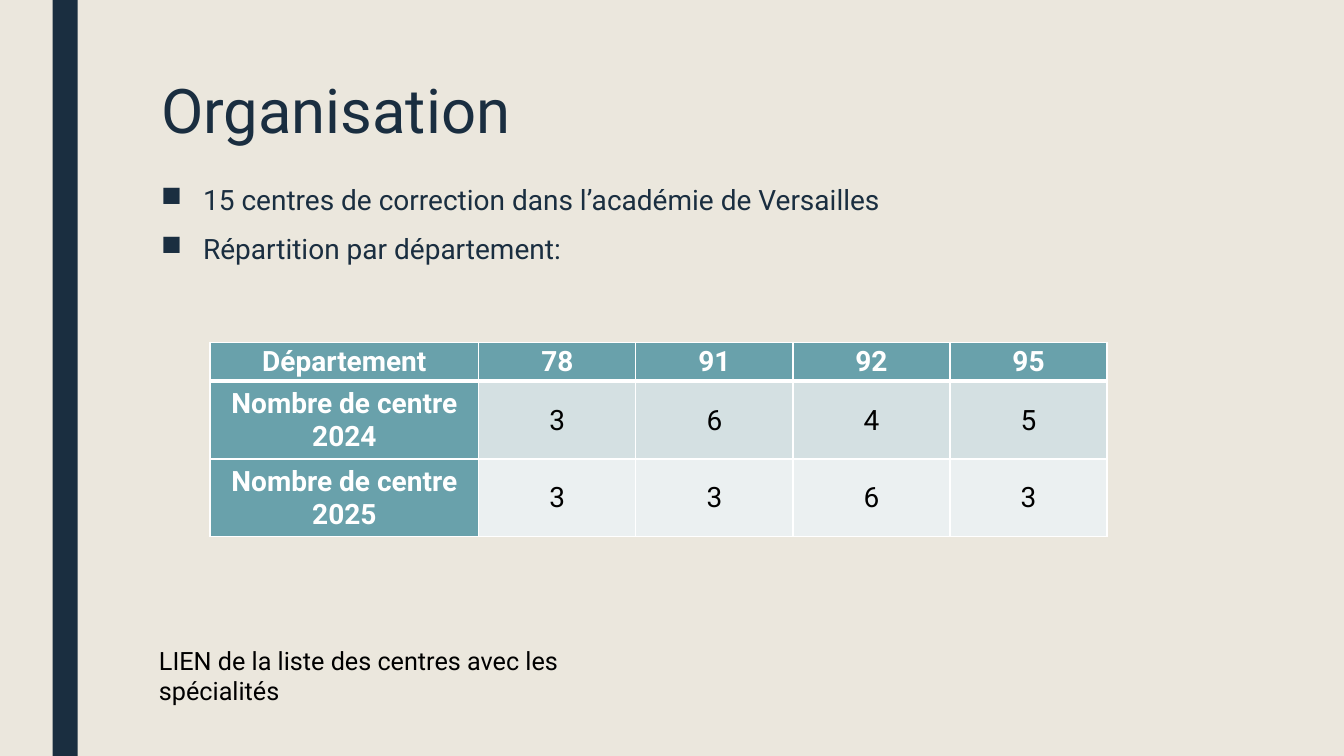
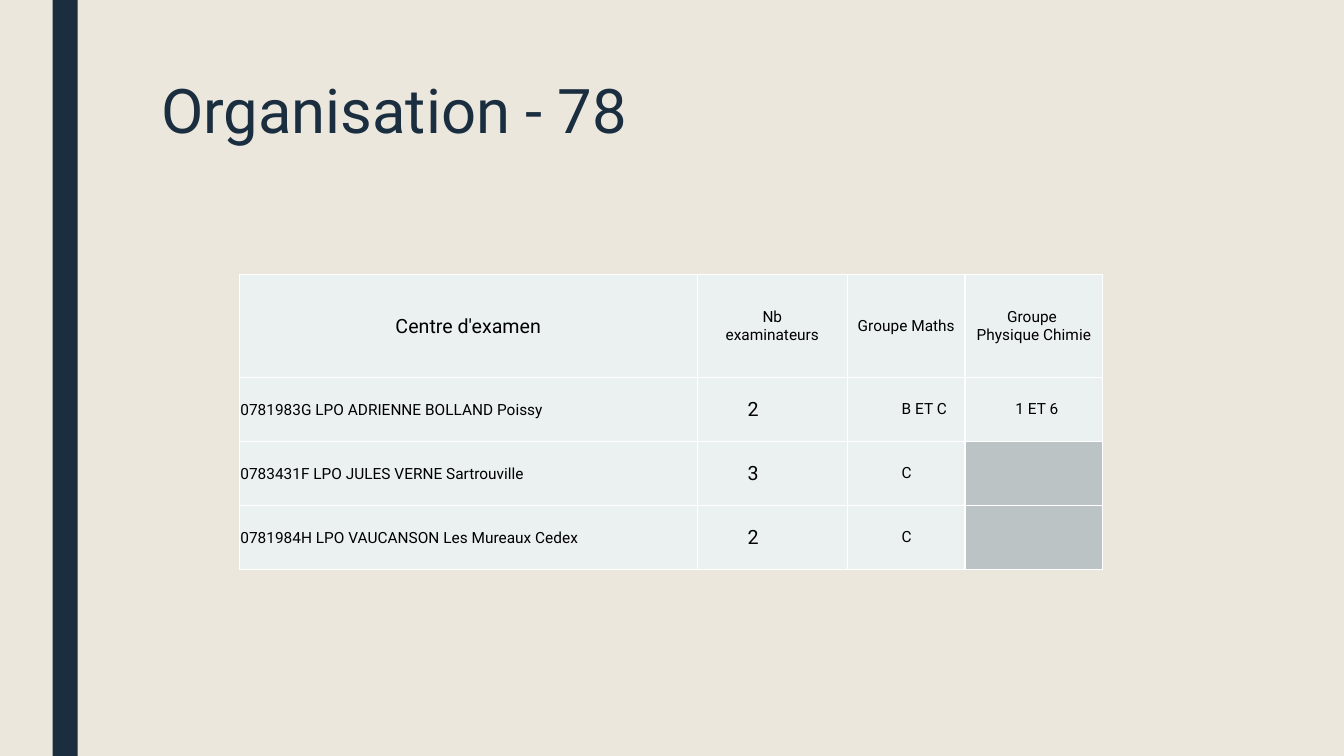
import pptx
import pptx.util
import pptx.dml.color
import pptx.enum.shapes
import pptx.enum.text
import pptx.oxml
import pptx.oxml.ns

Pt = pptx.util.Pt
ALIGN = pptx.enum.text.PP_ALIGN
FONT = "Roboto"
COLS, ROWS = 160, 90
UNIT = pptx.util.Inches(1) / 12
COLORS = {
    "paper": "EBE7DD",
    "navy": "1A2E40",
    "teal": "69A1AB",
    "mist": "D4E0E2",
    "pale": "EBF0F1",
    "grey": "BBC3C4",
    "white": "FFFFFF",
    "black": "000000",
}


def grid(*cells):
    """Turn counts of grid cells into lengths."""
    return [round(cell * UNIT) for cell in cells]


def paint(fill, name):
    fill.solid()
    fill.fore_color.rgb = pptx.dml.color.RGBColor.from_string(COLORS[name])


def style(para, size, color, bold=False):
    font = para.font
    font.name, font.size, font.bold = FONT, Pt(size), bold
    paint(font.fill, color)


def indent(para, left, first=0):
    props = para._p.get_or_add_pPr()
    left, first = grid(left, first)
    props.set("marL", str(left))
    props.set("indent", str(first))
    return props


def write(slide, box, lines, size, color, space=1.0):
    """Add a wrapped text box and return its paragraphs."""
    frame = slide.shapes.add_textbox(*grid(*box)).text_frame
    frame.word_wrap = True
    for num, line in enumerate(lines):
        para = frame.add_paragraph() if num else frame.paragraphs[0]
        para.text = line
        para.line_spacing = space
        style(para, size, color)
    return frame.paragraphs


def bullets(slide, box, lines):
    for para in write(slide, box, lines, 20, "navy", 0.94):
        para.space_before, para.space_after = Pt(10), Pt(2)
        mark = pptx.oxml.parse_xml(
            f'<a:buChar {pptx.oxml.ns.nsdecls("a")} char="■"/>')
        indent(para, 5, -5).append(mark)


def start(deck, title):
    """Add a slide with the shared band and title."""
    slide = deck.slides.add_slide(deck.slide_layouts[6])
    band = slide.shapes.add_shape(
        pptx.enum.shapes.MSO_SHAPE.RECTANGLE, *grid(6.25, 0, 3, ROWS))
    band.shadow.inherit = False
    paint(band.fill, "navy")
    band.line.fill.background()
    write(slide, (18, 9, 126, 19.5), [title], 44, "navy", 0.89)
    return slide


def edge(cell, top=1, base=1):
    """Draw white borders, with top and base widths in points."""
    props = cell._tc.get_or_add_tcPr()
    widths = {"lnL": 1, "lnR": 1, "lnT": top, "lnB": base}
    for num, (tag, width) in enumerate(widths.items()):
        line = pptx.oxml.parse_xml(
            f'<a:{tag} {pptx.oxml.ns.nsdecls("a")} w="{Pt(width)}">'
            f'<a:solidFill><a:srgbClr val="{COLORS["white"]}"/></a:solidFill>'
            f'</a:{tag}>')
        props.insert(num, line)


def table(slide, spot, cols, rows, data, look):
    """Add a table; look(row, col) gives a cell's fill, size, color, bold, align, indent."""
    shape = slide.shapes.add_table(
        len(rows), len(cols), *grid(*spot, sum(cols), sum(rows)))
    tab = shape.table
    tab.first_row = tab.horz_banding = False
    for col, width in zip(tab.columns, grid(*cols)):
        col.width = width
    for row, height in zip(tab.rows, grid(*rows)):
        row.height = height
    for r, line in enumerate(data):
        for c, text in enumerate(line):
            cell = tab.cell(r, c)
            fill, size, color, bold, align, left = look(r, c)
            cell.vertical_anchor = pptx.enum.text.MSO_ANCHOR.MIDDLE
            inset = 0 if left else Pt(0.7)
            cell.margin_left = cell.margin_right = cell.margin_top = inset
            cell.margin_bottom = 0
            para = cell.text_frame.paragraphs[0]
            para.text = text
            para.alignment = align
            style(para, size, color, bold)
            if left:
                indent(para, left)
            paint(cell.fill, fill if text else "grey")
            edge(cell)
    return tab


def count(row, col):
    """Look of the table of centres by department."""
    if row == 0 or col == 0:
        return "teal", 20, "white", True, ALIGN.CENTER, 0
    fill = "mist" if row == 1 else "pale"
    return fill, 20, "black", False, ALIGN.CENTER, 0


def centre(row, col):
    """Look of the table of exam centres."""
    size = 14 if (row == 0) == (col == 0) and col < 2 else 11
    align = ALIGN.LEFT if row else ALIGN.CENTER
    return "pale", size, "black", False, align, 6 if row and col else 0


def main():
    deck = pptx.Presentation()
    deck.slide_width, deck.slide_height = grid(COLS, ROWS)
    paint(deck.slide_master.background.fill, "paper")

    slide = start(deck, "Organisation")
    bullets(slide, (18, 21.5, 126, 47), [
        "15 centres de correction dans l’académie de Versailles",
        "Répartition par département:",
    ])
    write(slide, (17.75, 76.25, 63.25, 8),
          ["LIEN de la liste des centres avec les spécialités"], 18, "black")
    tab = table(slide, (25, 40.75), [32] + [18.7] * 4, [4.65, 9.25, 9.25], [
        ["Département", "78", "91", "92", "95"],
        ["Nombre de centre 2024", "3", "6", "4", "5"],
        ["Nombre de centre 2025", "3", "3", "6", "3"],
    ], count)
    for col in range(len(tab.columns)):
        for row, sides in enumerate([{"base": 3}, {"top": 3}]):
            cell = tab.cell(row, col)
            props = cell._tc.get_or_add_tcPr()
            for line in list(props)[:4]:
                props.remove(line)
            edge(cell, **sides)

    slide = start(deck, "Organisation - 78")
    table(slide, (28.5, 32.7), [54.5, 17.9, 14, 16.4], [12.25] + [7.62] * 3, [
        ["Centre d'examen", "Nb\nexaminateurs", "Groupe Maths",
         "Groupe \nPhysique Chimie"],
        ["0781983G LPO ADRIENNE BOLLAND Poissy", "2", " B ET C", "1 ET 6"],
        ["0783431F LPO JULES VERNE Sartrouville", "3", " C", ""],
        ["0781984H LPO VAUCANSON Les Mureaux Cedex", "2", " C", ""],
    ], centre)
    deck.save("out.pptx")


if __name__ == "__main__":
    main()
